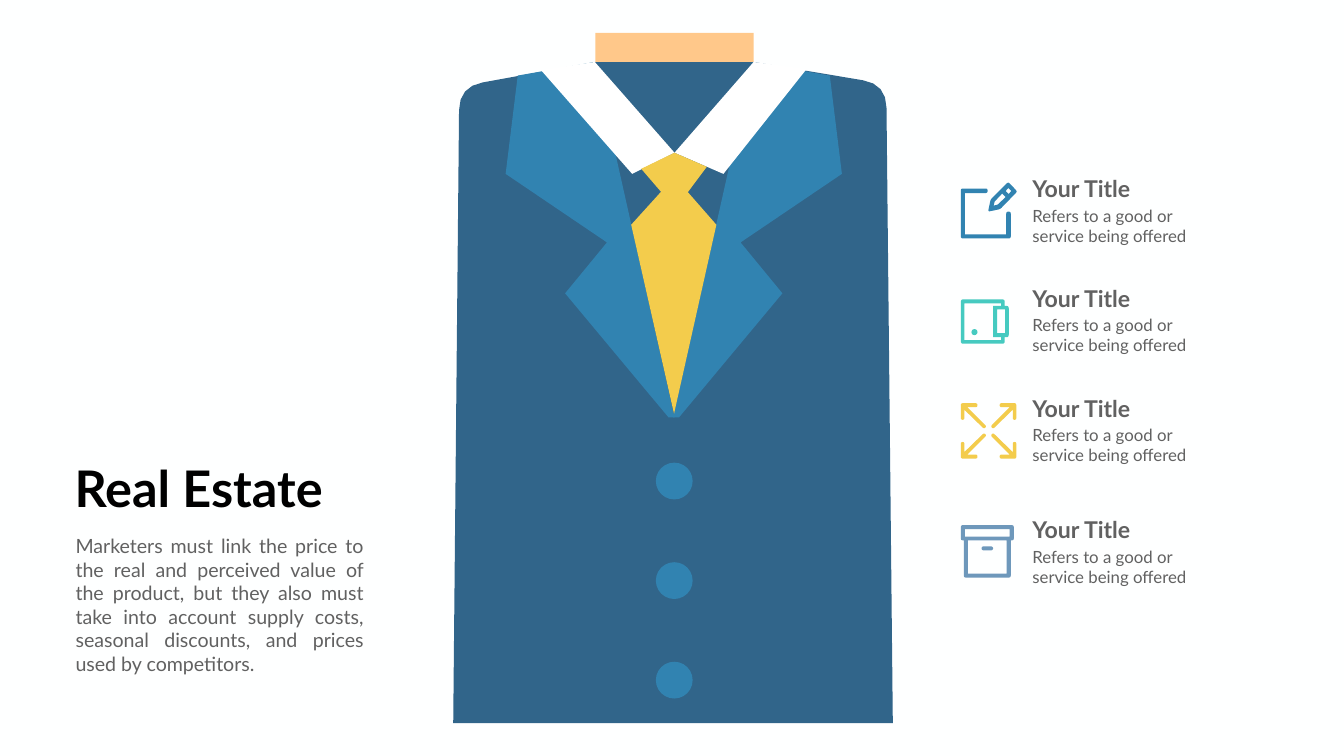
from dataclasses import dataclass
from itertools import product
from math import dist

from pptx import Presentation
from pptx.dml.color import RGBColor
from pptx.enum.shapes import MSO_SHAPE as Kind
from pptx.enum.text import PP_ALIGN as Align
from pptx.util import Inches, Pt


@dataclass(frozen=True)
class Theme:
    font: str = "Lato"
    back: str = "FEFFFF"
    suit: str = "31658A"
    lapel: str = "3183B1"
    skin: str = "FFC88A"
    white: str = "FFFFFF"
    gold: str = "F3CC4C"
    teal: str = "46CAC0"
    steel: str = "6E98BB"
    black: str = "000000"
    gray: str = "616161"
    head: int = 72
    title: int = 33
    body: int = 28
    note: int = 24


THEME = Theme()


def paint(shape, color):
    shape.shadow.inherit = False
    shape.fill.solid()
    shape.fill.fore_color.rgb = RGBColor.from_string(color)
    shape.line.fill.background()


def soft(points, radius=0.04, picks=None):
    """Round the corners of an outline, or only those whose index is in picks."""
    out = []
    for i, point in enumerate(points):
        if picks is not None and i not in picks:
            out.append(point)
            continue
        ends = []
        for near in (points[i - 1], points[(i + 1) % len(points)]):
            part = min(radius / dist(point, near), 0.5)
            ends.append([p + (n - p) * part for p, n in zip(point, near)])
        for t in (0, 0.25, 0.5, 0.75, 1):
            out.append(tuple((1 - t) ** 2 * a + 2 * t * (1 - t) * p + t * t * b
                             for a, p, b in zip(ends[0], point, ends[1])))
    return out


def rect(left, top, right, low):
    return [(left, top), (right, top), (right, low), (left, low)]


def draw(slide, x, y, color, *loops):
    """Fill an outline; further loops cut holes in it."""
    loops = [[(Inches(a), Inches(b)) for a, b in loop] for loop in loops]
    pen = slide.shapes.build_freeform(*loops[0][0], scale=1.0)
    for i, loop in enumerate(loops):
        if i:
            pen.move_to(*loop[0])
        pen.add_line_segments(loop[1:], close=True)
    paint(pen.convert_to_shape(Inches(x), Inches(y)), color)


def preset(slide, kind, x, y, w, h, color):
    shape = slide.shapes.add_shape(kind, *map(Inches, (x, y, w, h)))
    paint(shape, color)
    return shape


def write(slide, box, lines, size, color=THEME.gray, bold=False, align=Align.LEFT):
    frame = slide.shapes.add_textbox(*map(Inches, box)).text_frame
    frame.word_wrap = True
    style = {"name": THEME.font, "size": Pt(size), "bold": bold}
    for i, line in enumerate(lines):
        para = frame.add_paragraph() if i else frame.paragraphs[0]
        para.alignment = align
        run = para.add_run()
        run.text = line
        for key, value in style.items():
            setattr(run.font, key, value)
        run.font.color.rgb = RGBColor.from_string(color)


def suit(slide, x, y):
    coat = [(5.96, 0.58), (8.59, 1.02), (8.72, 13.7), (0, 13.7), (0.12, 1.07), (2.82, 0.58)]
    lapel = [(4.39, 7.63), (2.81, 0.58), (1.28, 0.85), (1.04, 2.8),
             (3.05, 4.16), (2.22, 5.17), (4.27, 7.63)]
    collars = ([(5.96, 0.58), (7.01, 0.72), (5.36, 2.8), (4.39, 2.38)],
               [(3.55, 2.8), (4.39, 2.38), (2.81, 0.58), (1.74, 0.74)])
    knot = [(3.73, 2.7), (4.39, 2.38), (5.03, 2.66), (4.41, 3.49)]
    tie = [(4.39, 2.86), (3.53, 3.81), (4.38, 7.56), (5.22, 3.81)]

    draw(slide, x, y, THEME.suit, soft(coat, 0.47, {1, 4}))
    preset(slide, Kind.RECTANGLE, x + 2.82, y, 3.14, 0.58, THEME.skin)
    draw(slide, x, y, THEME.lapel, lapel)
    draw(slide, x, y, THEME.lapel, [(8.75 - a, b) for a, b in lapel])
    for collar in collars:
        draw(slide, x, y, THEME.white, collar)
    for part in (knot, tie):
        draw(slide, x, y, THEME.gold, part)
    for i in range(3):
        preset(slide, Kind.OVAL, x + 4.02, y + 8.53 + 1.975 * i, 0.73, 0.73, THEME.lapel)


def edit(slide, x, y):
    sheet = [(0.9, 0.57), (0.9, 1.02), (0.08, 1.02), (0.08, 0.2), (0.53, 0.2),
             (0.53, 0.11), (0, 0.11), (0, 1.1), (0.99, 1.1), (0.99, 0.57)]
    pencil = [(0.94, -0.02), (1.12, 0.17), (0.78, 0.52), (0.54, 0.57), (0.59, 0.33)]
    cap = [(0.95, 0.22), (0.89, 0.16), (0.94, 0.1), (1, 0.16)]
    stem = [(0.73, 0.43), (0.65, 0.45), (0.67, 0.37), (0.82, 0.21), (0.89, 0.28)]
    draw(slide, x, y, THEME.lapel, soft(sheet, picks={0, 4, 5, 6, 7, 8, 9}))
    draw(slide, x, y, THEME.lapel, soft(pencil), cap, stem)


def wallet(slide, x, y):
    case = [(0, 0), (0.87, 0), (0.87, 0.13), (0.95, 0.13),
            (0.95, 0.75), (0.87, 0.75), (0.87, 0.88), (0, 0.88)]
    inner = [(0.07, 0.08), (0.8, 0.08), (0.8, 0.13), (0.64, 0.13),
             (0.64, 0.75), (0.8, 0.75), (0.8, 0.81), (0.07, 0.81)]
    draw(slide, x, y, THEME.teal, soft(case, 0.05, {0, 1, 3, 4, 6, 7}),
         rect(0.72, 0.2, 0.88, 0.67), inner)
    preset(slide, Kind.OVAL, x + 0.21, y + 0.59, 0.12, 0.12, THEME.teal)


def arrows(slide, x, y):
    side = 1.1
    arrow = soft([(1.03, 0.13), (1.03, 0.33), (1.1, 0.33), (1.1, 0), (0.77, 0),
                  (0.77, 0.08), (0.97, 0.08), (0.59, 0.46), (0.64, 0.51)],
                 picks={1, 2, 3, 4, 5, 7, 8})
    for flip, drop in product((False, True), repeat=2):
        draw(slide, x, y, THEME.gold,
             [(side - a if flip else a, side - b if drop else b) for a, b in arrow])


def crate(slide, x, y):
    case = [(0, 0), (1.05, 0), (1.05, 0.3), (0.99, 0.3),
            (0.99, 1.04), (0.06, 1.04), (0.06, 0.3), (0, 0.3)]
    draw(slide, x, y, THEME.steel, soft(case, picks={0, 1, 2, 4, 5, 7}),
         rect(0.08, 0.08, 0.97, 0.23), rect(0.14, 0.3, 0.91, 0.96))
    grip = preset(slide, Kind.ROUNDED_RECTANGLE, x + 0.41, y + 0.42, 0.23, 0.08, THEME.steel)
    grip.adjustments[0] = 0.5


def item(slide, x, y, icon, drop):
    """Place an icon, lowered by drop, beside its title and note."""
    icon(slide, x, y + drop)
    write(slide, (x + 1.32, y, 2.3, 0.66), ["Your Title"], THEME.title, bold=True)
    write(slide, (x + 1.32, y + 0.61, 3.52, 0.91),
          ["Refers to a good or", "service being offered"], THEME.note)


def intro(slide, x, y):
    write(slide, (x, y, 5.26, 1.31), ["Real Estate"], THEME.head, THEME.black, True)
    write(slide, (x + 0.02, y + 1.53, 5.91, 2.93),
          ["Marketers must link the price to the real and perceived value of the product, "
           "but they also must take into account supply costs, seasonal discounts, "
           "and prices used by competitors."], THEME.body, align=Align.JUSTIFY)


def main():
    deck = Presentation()
    deck.slide_width, deck.slide_height = Inches(26.66), Inches(15)
    slide = deck.slides.add_slide(deck.slide_layouts[6])
    fill = slide.background.fill
    fill.solid()
    fill.fore_color.rgb = RGBColor.from_string(THEME.back)

    suit(slide, 8.99, 0.65)
    rows = ((3.42, edit, 0.21), (5.59, wallet, 0.35),
            (7.77, arrows, 0.23), (10.18, crate, 0.24))
    for top, icon, drop in rows:
        item(slide, 19.06, top, icon, drop)
    intro(slide, 1.38, 9.02)
    deck.save("out.pptx")


if __name__ == "__main__":
    main()
